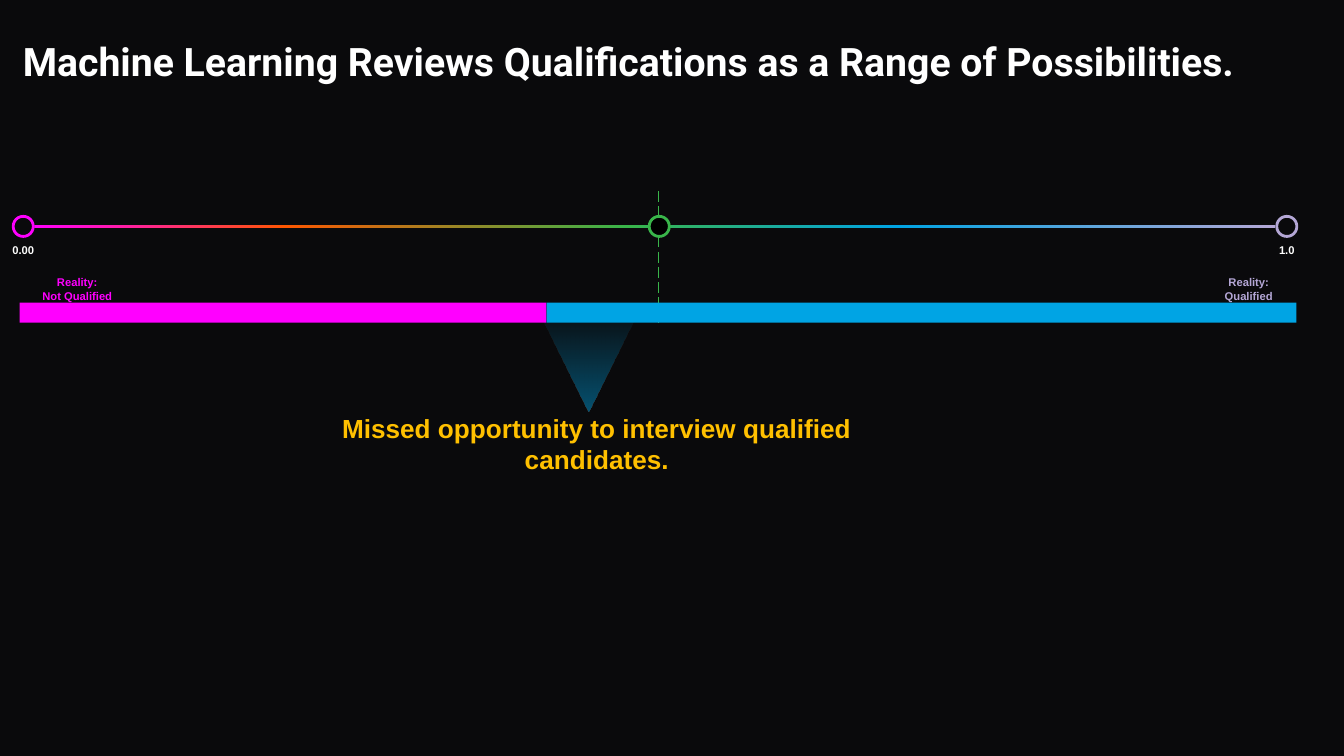
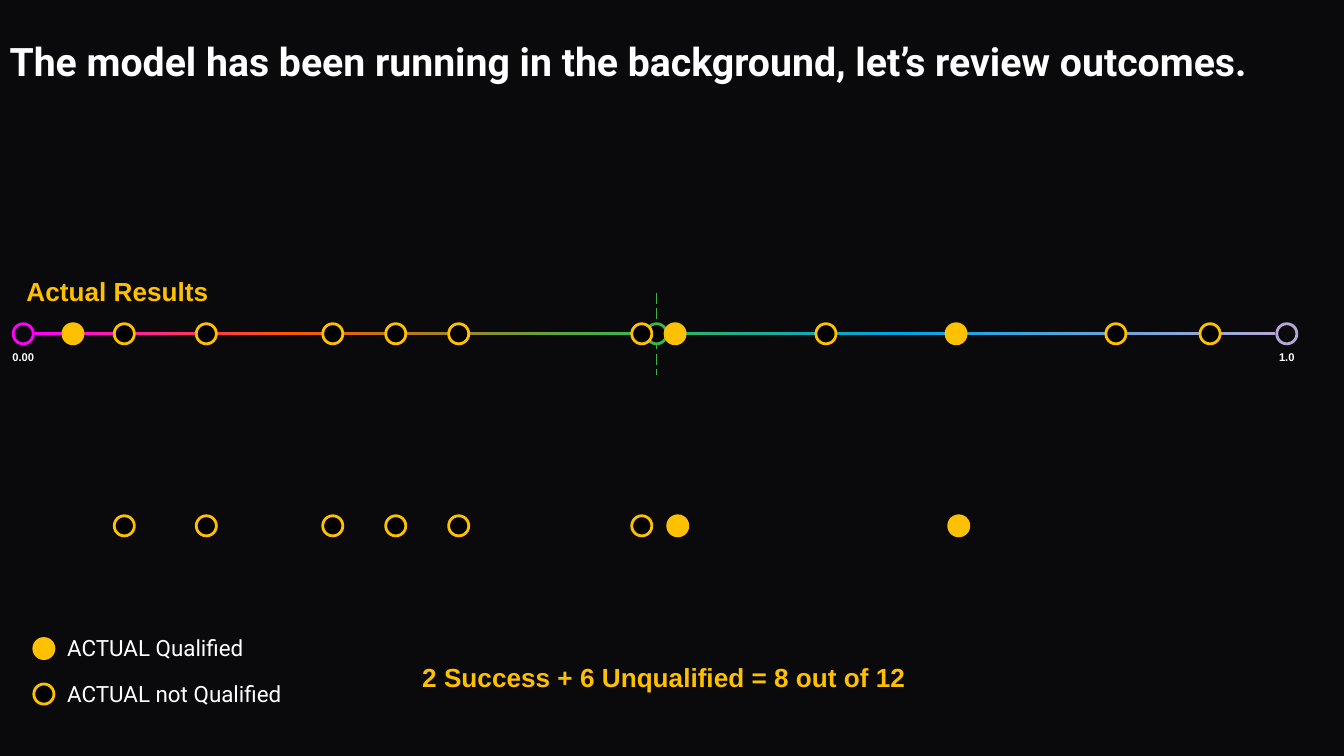
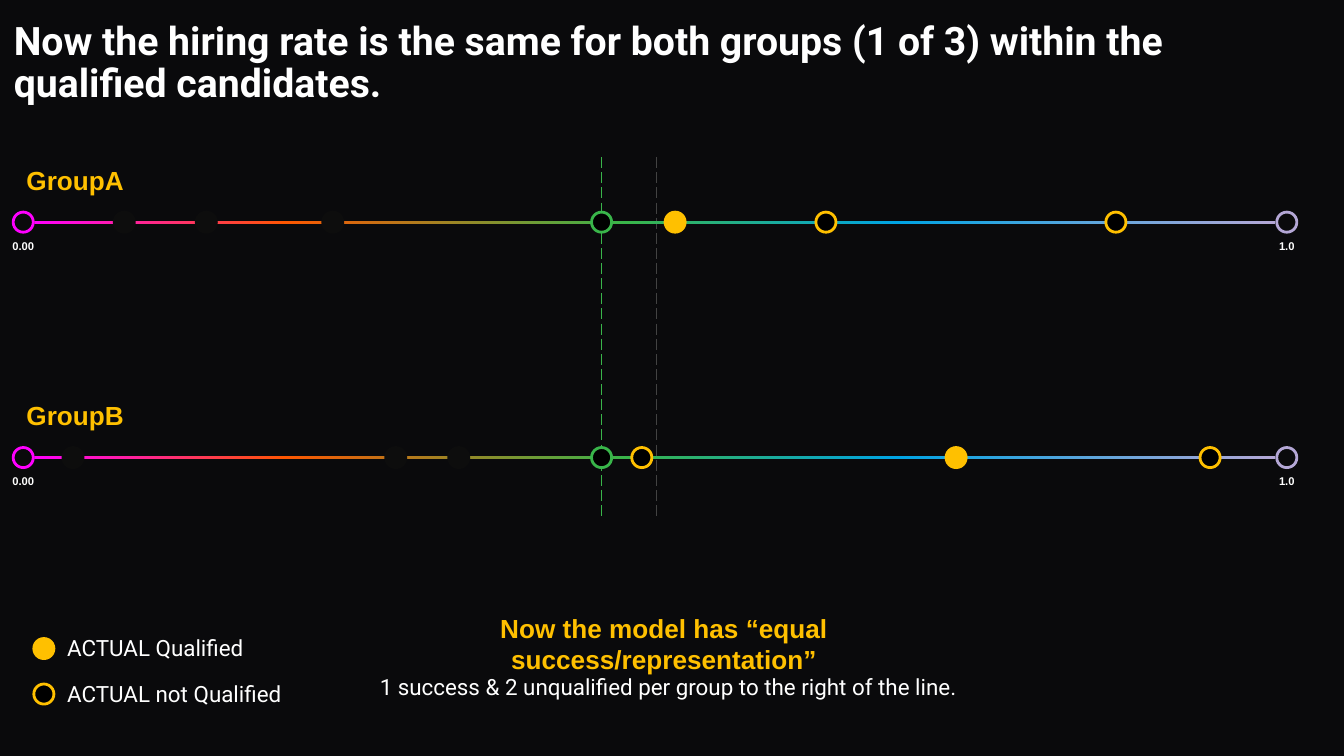
from lxml import etree
from pptx import Presentation
from pptx.dml.color import RGBColor
from pptx.enum import dml, shapes, text
from pptx.oxml.ns import qn
from pptx.util import Cm, Pt

NIGHT = RGBColor(0x0A, 0x0A, 0x0C)
BLACK = RGBColor(0x00, 0x00, 0x00)
FADED = RGBColor(0x0D, 0x0D, 0x0D)
GREY = RGBColor(0x43, 0x43, 0x43)
WHITE = RGBColor(0xFF, 0xFF, 0xFF)
PINK = RGBColor(0xFF, 0x00, 0xFF)
ORANGE = RGBColor(0xFF, 0x56, 0x00)
GREEN = RGBColor(0x39, 0xB5, 0x4A)
BLUE = RGBColor(0x00, 0xA4, 0xE4)
LILAC = RGBColor(0xB4, 0xA7, 0xD6)
GOLD = RGBColor(0xFF, 0xC0, 0x00)

TITLE = dict(name="Roboto", size=Pt(21), bold=True)
HEAD = dict(name="Arial", size=Pt(14), bold=True)
BODY = dict(name="Roboto", size=Pt(12), bold=False)
TINY = dict(name="Arial", size=Pt(6), bold=True)

LEFT, MID = text.PP_ALIGN.LEFT, text.PP_ALIGN.CENTER
TOP, CENTRE = text.MSO_ANCHOR.TOP, text.MSO_ANCHOR.MIDDLE
RECT = shapes.MSO_SHAPE.RECTANGLE
OVAL = shapes.MSO_SHAPE.OVAL
WEDGE = shapes.MSO_SHAPE.ISOSCELES_TRIANGLE

DOT = 0.38
START, END = 0.44, 24.32
# Left edge, right edge, first and last colour of each part of the scale
PARTS = [(0.65, 5.45, PINK, ORANGE), (5.32, 11.85, ORANGE, GREEN),
         (11.85, 16.95, GREEN, BLUE), (16.95, 24.09, BLUE, LILAC)]


def write(frame, words, style, color, align=LEFT, anchor=TOP, pad=(0, 0)):
    """Fill a text frame; pad holds the side and the top margins in cm."""
    side, edge = Cm(pad[0]), Cm(pad[1])
    frame.text = words
    form = dict(word_wrap=True, vertical_anchor=anchor,
                auto_size=text.MSO_AUTO_SIZE.NONE, margin_left=side,
                margin_right=side, margin_top=edge, margin_bottom=edge)
    for key, value in form.items():
        setattr(frame, key, value)
    for para in frame.paragraphs:
        para.alignment = align
        for run in para.runs:
            for key, value in style.items():
                setattr(run.font, key, value)
            run.font.color.rgb = color


def label(slide, box, words, style, color, **form):
    frame = slide.shapes.add_textbox(*map(Cm, box)).text_frame
    write(frame, words, style, color, **form)


def new_slide(deck, words, left, width):
    slide = deck.slides.add_slide(deck.slide_layouts[5])
    title = slide.shapes.title
    title.left, title.top = Cm(left), Cm(0.38)
    title.width, title.height = Cm(width), Cm(1.65)
    write(title.text_frame, words, TITLE, WHITE,
          anchor=CENTRE, pad=(0.18, 0.1))
    title.text_frame.paragraphs[0].line_spacing = 0.9
    return slide


def shape(slide, kind, box, fill=None, line=None):
    item = slide.shapes.add_shape(kind, *map(Cm, box))
    item.shadow.inherit = False
    if fill is not None:
        item.fill.solid()
        item.fill.fore_color.rgb = fill
    if line is None:
        item.line.fill.background()
    else:
        item.line.color.rgb = line
        item.line.width = Pt(1.5)
    return item


def blend(item, first, last, angle=0):
    item.fill.gradient()
    item.fill.gradient_angle = angle
    for stop, color in zip(item.fill.gradient_stops, (first, last)):
        stop.color.rgb = color


def dots(slide, y, places, fill, line=GOLD):
    """Draw a row of dots, given by their centres."""
    for x in places:
        shape(slide, OVAL, (x - DOT / 2, y - DOT / 2, DOT, DOT), fill, line)


def dash(slide, x, top, low, color):
    line = slide.shapes.add_connector(
        shapes.MSO_CONNECTOR.STRAIGHT, Cm(x), Cm(top), Cm(x), Cm(low))
    line.line.color.rgb = color
    line.line.width = Pt(0.75)
    line.line.dash_style = dml.MSO_LINE.LONG_DASH
    etree.SubElement(line._element.spPr, qn("a:effectLst"))


def scale(slide, y, name=None):
    """Draw the 0 to 1 scale centred on y, with a name above it."""
    for x, words, color in ((START, "0.00", PINK), (END, "1.0", LILAC)):
        dots(slide, y, [x], NIGHT, color)
        label(slide, (x - 0.72, y + 0.19, 1.44, 1.09), words, TINY, WHITE,
              align=MID, pad=(0.13, 0.13))
    for left, right, first, last in PARTS:
        bar = shape(slide, RECT, (left, y - 0.03, right - left, 0.06))
        blend(bar, first, last)
    if name:
        label(slide, (0.25, y - 1.18, 4.39, 0.76), name, HEAD, GOLD,
              anchor=CENTRE, pad=(0.25, 0.25))


def remark(slide, left, top, words):
    label(slide, (left, top, 11.28, 0.76), words, HEAD, GOLD,
          align=MID, anchor=CENTRE, pad=(0.25, 0.25))


def legend(slide):
    rows = ((12.26, GOLD, "ACTUAL Qualified"),
            (13.12, BLACK, "ACTUAL not Qualified"))
    for y, fill, words in rows:
        dots(slide, y, [0.83], fill)
        label(slide, (1.02, y - 0.52, 5.9, 0.71), words, BODY, WHITE,
              pad=(0.25, 0.25))


def wedge(slide, box):
    """Draw a triangle that points down and fades out upwards."""
    item = shape(slide, WEDGE, box)
    item.rotation = 180
    blend(item, BLUE, BLUE, 90)
    colors = item._element.spPr.iter(qn("a:srgbClr"))
    for color, share in zip(colors, (0, 47)):
        etree.SubElement(color, qn("a:alpha"), val=str(share * 1000))


def possible(deck):
    slide = new_slide(deck, "Machine Learning Reviews Qualifications as a "
                      "Range of Possibilities.", 0.25, 23.85)
    dash(slide, 12.45, 3.61, 6.1, GREEN)
    wedge(slide, (10.13, 5.79, 1.98, 1.98))
    scale(slide, 4.28)
    dots(slide, 4.28, [12.46], BLACK, GREEN)
    remark(slide, 5.64, 8,
           "Missed opportunity to interview qualified candidates.")
    shape(slide, RECT, (0.37, 5.72, 9.96, DOT), PINK)
    shape(slide, RECT, (10.33, 5.72, 14.17, DOT), BLUE)
    for left, width, words, color in (
            (0.51, 1.9, "Reality:\nNot Qualified", PINK),
            (22.76, 1.68, "Reality: Qualified", LILAC)):
        label(slide, (left, 5.36, width, 0.2), words, TINY, color,
              align=MID, anchor=CENTRE)


def review(deck):
    slide = new_slide(deck, "The model has been running in the background, "
                      "let’s review outcomes.", 0, 25.1)
    failed = [2.35, 3.9, 6.29, 7.48, 8.67, 12.13]
    dash(slide, 12.41, 5.54, 7.09, GREEN)
    scale(slide, 6.31, "Actual Results")
    dots(slide, 6.31, [12.41], BLACK, GREEN)
    dots(slide, 6.31, failed + [15.61, 21.09, 22.87], BLACK)
    dots(slide, 6.31, [1.38, 12.76, 18.07], GOLD)
    dots(slide, 9.94, failed, BLACK)
    dots(slide, 9.94, [12.81, 18.12], GOLD)
    legend(slide)
    remark(slide, 6.91, 12.42, "2 Success + 6 Unqualified = 8 out of 12")


def equal(deck):
    slide = new_slide(deck, "Now the hiring rate is the same for both groups "
                      "(1 of 3) within the qualified candidates.", 0.08, 25.02)
    dash(slide, 12.41, 2.97, 9.8, GREY)
    groups = (("GroupA", 4.2, [2.35, 3.9, 6.29], [15.61, 21.09], [12.76]),
              ("GroupB", 8.65, [1.38, 7.48, 8.67], [12.13, 22.87], [18.07]))
    for name, y, faded, failed, passed in groups:
        scale(slide, y, name)
        dots(slide, y, faded, FADED, FADED)
        dots(slide, y, failed, BLACK)
        dots(slide, y, passed, GOLD)
    dash(slide, 11.37, 2.97, 9.8, GREEN)
    for group in groups:
        dots(slide, group[1], [11.37], BLACK, GREEN)
    remark(slide, 6.91, 11.79,
           "Now the model has “equal success/representation”")
    label(slide, (6.83, 12.47, 11.61, 1.42),
          "1 success & 2 unqualified per group to the right of the line.",
          BODY, WHITE, align=MID, pad=(0.25, 0.25))
    legend(slide)


def main():
    deck = Presentation()
    deck.slide_width, deck.slide_height = Cm(25.4), Cm(14.29)
    back = deck.slide_master.background.fill
    back.solid()
    back.fore_color.rgb = NIGHT
    for build in (possible, review, equal):
        build(deck)
    deck.save("out.pptx")


if __name__ == "__main__":
    main()
